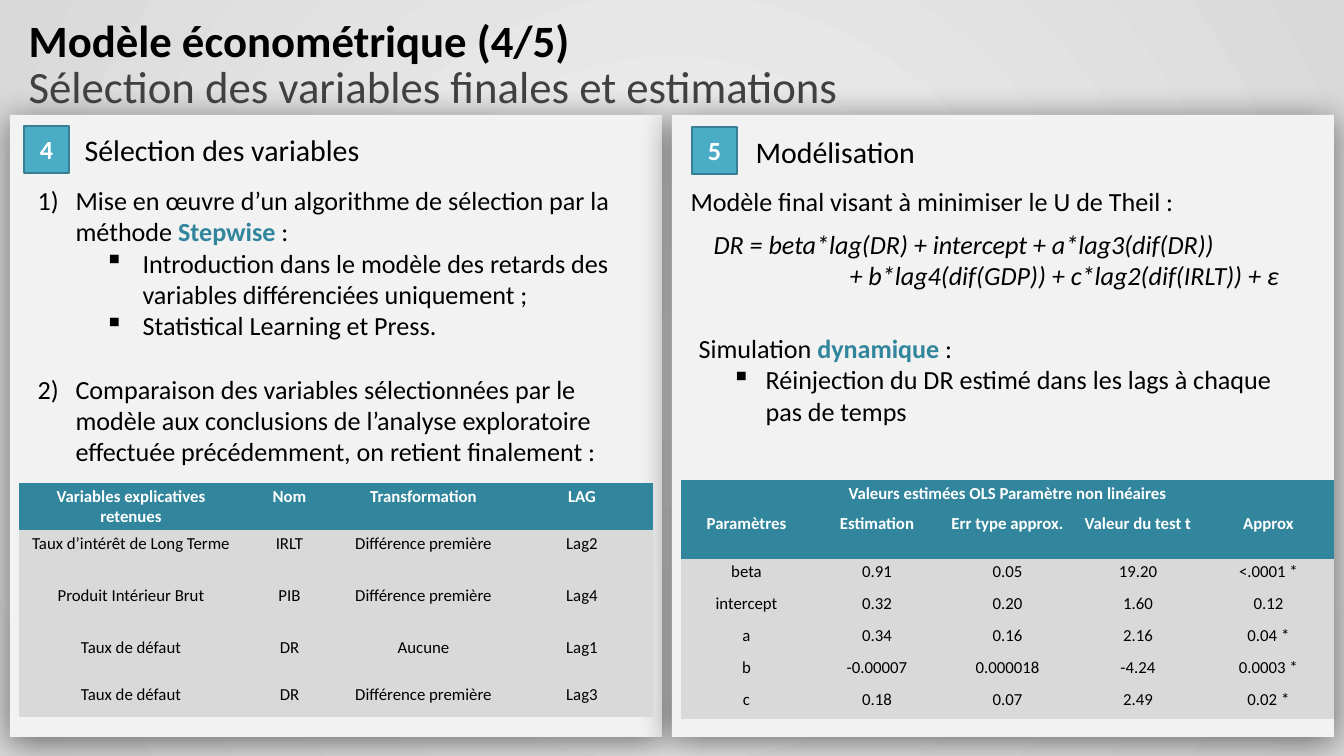
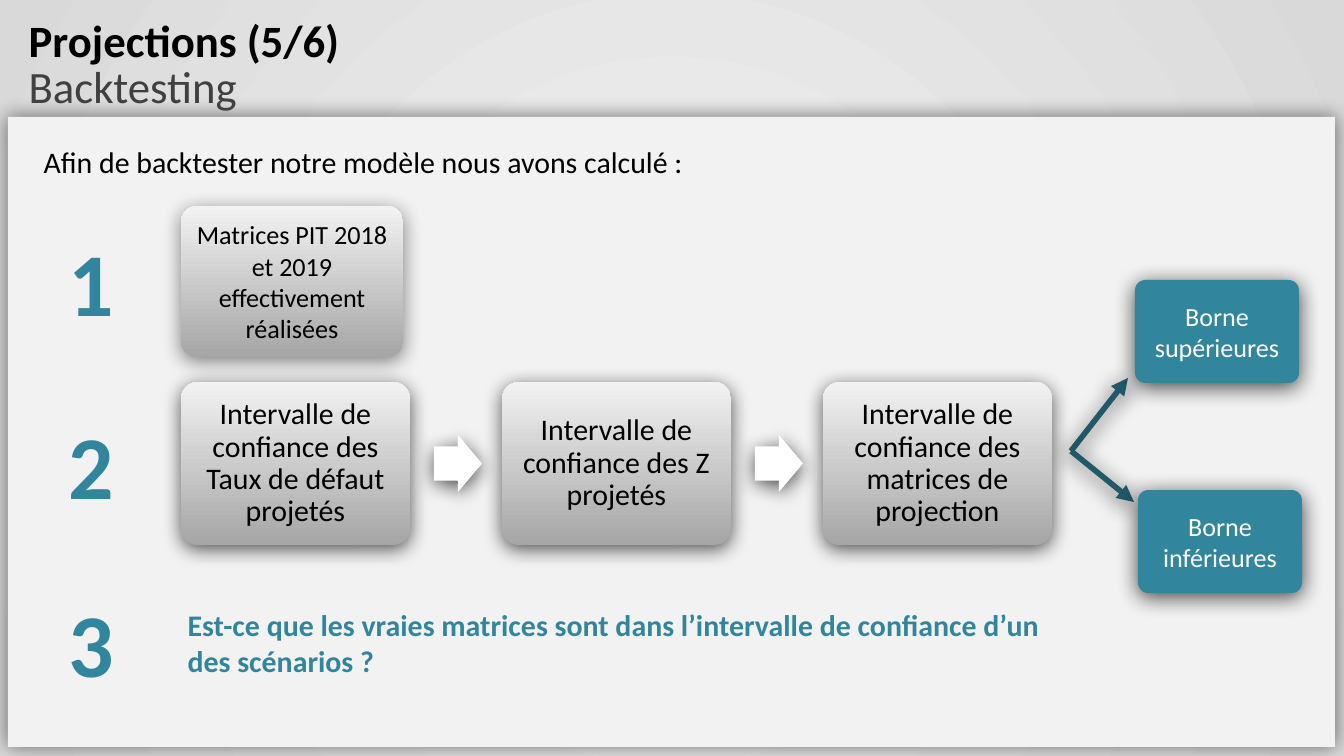
import dataclasses

import lxml.etree
import pptx
import pptx.dml.color
import pptx.enum.shapes
import pptx.enum.text
import pptx.oxml.ns
import pptx.util

SHAPES = pptx.enum.shapes.MSO_SHAPE
ALIGN = pptx.enum.text.PP_ALIGN
ANCHOR = pptx.enum.text.MSO_ANCHOR
qn = pptx.oxml.ns.qn

EMU_PER_PX = 914400 / 67.2
NO_TABLE_STYLE = "{2D5ABB26-0587-4C30-8999-92F81FD0307C}"


@dataclasses.dataclass(frozen=True)
class Theme:
    font: str = "Calibri"
    black: str = "000000"
    white: str = "FFFFFF"
    subtitle: str = "404040"
    accent: str = "31859C"
    badge: str = "4BACC6"
    badge_line: str = "377F92"
    arrow: str = "215968"
    light: str = "F2F2F2"
    grey: str = "D9D9D9"
    mid_grey: str = "A6A6A6"
    title_size: int = 48
    heading_size: int = 32
    body_size: int = 28
    table_size: int = 18
    step_size: int = 96


THEME = Theme()


@dataclasses.dataclass(frozen=True)
class Para:
    """A paragraph; parts between ** are emphasised."""
    text: str
    level: int = 0
    indent: int = 0
    hanging: int = 0
    bullet: str = ""
    gap_before: int = 0


def px(value):
    return pptx.util.Emu(round(value * EMU_PER_PX))


def rgb(color):
    return pptx.dml.color.RGBColor.from_string(color)


def add_xml(parent, tag, **attributes):
    return lxml.etree.SubElement(parent, qn(tag), {k: str(v) for k, v in attributes.items()})


# Fills and effects
def fill_gradient(fill, start, end):
    fill.gradient()
    for stop, color in zip(fill.gradient_stops, (start, end)):
        stop.color.rgb = rgb(color)


def add_shadow(shape, opacity, blur, distance):
    effects = shape._element.spPr.get_or_add_effectLst()
    shadow = add_xml(effects, "a:outerShdw", blurRad=blur * 12700, dist=distance * 12700,
                     dir=5400000, algn="ctr", rotWithShape=0)
    color = add_xml(shadow, "a:srgbClr", val=THEME.black)
    add_xml(color, "a:alpha", val=opacity * 1000)


# Text
def write(paragraph, text, size, color=THEME.black, bold=False, italic=False):
    pieces = text.split("**")
    paragraph.text = pieces[0]
    for piece in pieces[1:]:
        paragraph.add_run().text = piece
    for i, run in enumerate(paragraph.runs):
        emphasised = i % 2 == 1
        run.font.name = THEME.font
        run.font.size = pptx.util.Pt(size)
        run.font.bold = bold or emphasised
        run.font.italic = italic
        run.font.color.rgb = rgb(THEME.accent if emphasised else color)


def set_layout(paragraph, para):
    properties = paragraph._p.get_or_add_pPr()
    paragraph.level = para.level
    properties.set("marL", str(px(para.indent)))
    properties.set("indent", str(-px(para.hanging)))
    if para.bullet == "number":
        add_xml(properties, "a:buFontTx")
        add_xml(properties, "a:buAutoNum", type="arabicParenR")
    elif para.bullet:
        add_xml(properties, "a:buFontTx")
        add_xml(properties, "a:buChar", char=para.bullet)
    if para.gap_before:
        paragraph.space_before = pptx.util.Pt(para.gap_before)


def add_text(slide, box, paras, size, **style):
    frame = slide.shapes.add_textbox(*map(px, box)).text_frame
    frame.word_wrap = True
    if isinstance(paras, str):
        paras = [Para(paras)]
    for i, para in enumerate(paras):
        paragraph = frame.add_paragraph() if i else frame.paragraphs[0]
        set_layout(paragraph, para)
        write(paragraph, para.text, size, **style)


# Shapes
def add_block(slide, kind, box, fill, shadow=None, corner=None):
    block = slide.shapes.add_shape(kind, *map(px, box))
    block.shadow.inherit = False
    block.line.fill.background()
    if isinstance(fill, tuple):
        fill_gradient(block.fill, *fill)
        block.fill.gradient_angle = 90
    else:
        block.fill.solid()
        block.fill.fore_color.rgb = rgb(fill)
    if corner is not None:
        block.adjustments[0] = corner
    if shadow:
        add_shadow(block, *shadow)
    return block


def label(block, text, size, color=THEME.black, bold=False):
    frame = block.text_frame
    frame.word_wrap = True
    frame.vertical_anchor = ANCHOR.MIDDLE
    paragraph = frame.paragraphs[0]
    paragraph.alignment = ALIGN.CENTER
    write(paragraph, text, size, color, bold)
    return paragraph


def add_panel(slide, box, blur, distance):
    add_block(slide, SHAPES.RECTANGLE, box, THEME.light, (53, blur, distance))


def add_badge(slide, left, top, number):
    badge = add_block(slide, SHAPES.RECTANGLE, (left, top, 45, 47), THEME.badge)
    badge.line.color.rgb = rgb(THEME.badge_line)
    badge.line.width = pptx.util.Pt(2)
    label(badge, number, THEME.body_size, THEME.white, bold=True)


def add_card(slide, box, text, size, shadow, corner):
    card = add_block(slide, SHAPES.ROUNDED_RECTANGLE, box,
                     (THEME.mid_grey, THEME.light), shadow, corner)
    return card, label(card, text, size)


def add_bound(slide, left, top, text):
    bound = add_block(slide, SHAPES.ROUNDED_RECTANGLE, (left, top, 164, 103),
                      THEME.accent, (72, 24, 4), 0.1)
    label(bound, text, THEME.body_size, THEME.white)


def add_arrow(slide, start, end):
    arrow = slide.shapes.add_connector(pptx.enum.shapes.MSO_CONNECTOR.STRAIGHT,
                                       *map(px, start + end))
    arrow.line.color.rgb = rgb(THEME.arrow)
    arrow.line.width = pptx.util.Pt(6)
    add_xml(arrow.line._get_or_add_ln(), "a:tailEnd", type="triangle")
    add_shadow(arrow, 72, 24, 4)


# Tables
def add_grid(slide, left, top, widths, heights, rows, header_rows=1, inset=None):
    frame = slide.shapes.add_table(len(rows), len(widths), px(left), px(top),
                                   px(sum(widths)), px(sum(heights)))
    table = frame.table
    table.first_row = table.horz_banding = False
    table._tbl.tblPr.find(qn("a:tableStyleId")).text = NO_TABLE_STYLE
    for column, width in zip(table.columns, widths):
        column.width = px(width)
    for r, (row, height) in enumerate(zip(rows, heights)):
        table.rows[r].height = px(height)
        is_header = r < header_rows
        for c in range(len(widths)):
            cell = table.cell(r, c)
            cell.fill.solid()
            cell.fill.fore_color.rgb = rgb(THEME.accent if is_header else THEME.grey)
            if inset is not None:
                cell.margin_left = cell.margin_right = px(inset)
                cell.margin_top = cell.margin_bottom = px(inset)
            if c < len(row):
                paragraph = cell.text_frame.paragraphs[0]
                paragraph.alignment = ALIGN.CENTER
                write(paragraph, row[c], THEME.table_size,
                      THEME.white if is_header else THEME.black, is_header)
        if len(row) == 1:
            table.cell(r, 0).merge(table.cell(r, len(widths) - 1))


# Shared slide frame
def add_slide(deck):
    slide = deck.slides.add_slide(deck.slide_layouts[6])
    fill_gradient(slide.background.fill, THEME.light, THEME.grey)
    gradient = next(slide._element.iter(qn("a:gradFill")))
    gradient.remove(gradient.find(qn("a:lin")))
    radial = add_xml(gradient, "a:path", path="circle")
    add_xml(radial, "a:fillToRect", l=50000, t=50000, r=50000, b=50000)
    return slide


def add_titles(slide, title, subtitle, subtitle_width):
    add_text(slide, (22, 9, 607, 61), title, THEME.title_size, bold=True)
    add_text(slide, (22, 55, subtitle_width, 61), subtitle, THEME.title_size,
             color=THEME.subtitle)


def build_model_slide(deck):
    slide = add_slide(deck)
    add_panel(slide, (10, 115, 652, 622), 37, 5)
    add_panel(slide, (672, 115, 662, 622), 37, 5)
    add_titles(slide, "Modèle économétrique (4/5)",
               "Sélection des variables finales et estimations", 1177)

    # Variable selection
    add_badge(slide, 24, 126, "4")
    add_text(slide, (78, 128, 398, 43), "Sélection des variables", THEME.heading_size)
    step = dict(indent=38, hanging=38, bullet="number")
    detail = dict(level=2, indent=105, hanging=38, bullet="▪")
    add_text(slide, (31, 181, 631, 355), [
        Para("Mise en œuvre d’un algorithme de sélection par la méthode **Stepwise** :", **step),
        Para("Introduction dans le modèle des retards des variables différenciées "
             "uniquement ;", **detail),
        Para("Statistical Learning et Press.", **detail),
        Para("Comparaison des variables sélectionnées par le modèle aux conclusions de "
             "l’analyse exploratoire effectuée précédemment, on retient finalement :",
             gap_before=34, **step),
    ], THEME.body_size)
    add_grid(slide, 19, 483, [224, 93, 175, 142], [47, 52, 52, 47, 36], [
        ["Variables explicatives retenues", "Nom", "Transformation", "LAG"],
        ["Taux d’intérêt de Long Terme", "IRLT", "Différence première", "Lag2"],
        ["Produit Intérieur Brut", "PIB", "Différence première", "Lag4"],
        ["Taux de défaut", "DR", "Aucune", "Lag1"],
        ["Taux de défaut", "DR", "Différence première", "Lag3"],
    ])

    # Modelling
    add_badge(slide, 692, 127, "5")
    add_text(slide, (749, 130, 398, 43), "Modélisation", THEME.heading_size)
    add_text(slide, (684, 182, 610, 70), "Modèle final visant à minimiser le U de Theil :",
             THEME.body_size)
    add_text(slide, (621, 225, 692, 70), [
        Para("DR = beta*lag(DR) + intercept + a*lag3(dif(DR))", indent=86),
        Para("+ b*lag4(dif(GDP)) + c*lag2(dif(IRLT)) + ε", indent=222),
    ], THEME.body_size, italic=True)
    add_text(slide, (692, 329, 621, 134), [
        Para("Simulation **dynamique** :"),
        Para("Réinjection du DR estimé dans les lags à chaque pas de temps",
             level=1, indent=67, hanging=34, bullet="▪"),
    ], THEME.body_size)
    add_grid(slide, 681, 480, [131, 130, 131, 130, 131], [31, 48] + [32] * 5, [
        ["Valeurs estimées OLS Paramètre non linéaires"],
        ["Paramètres", "Estimation", "Err type approx.", "Valeur du test t",
         "Approx\vPr > |t|"],
        ["beta", "0.91", "0.05", "19.20", "<.0001 *"],
        ["intercept", "0.32", "0.20", "1.60", "0.12"],
        ["a", "0.34", "0.16", "2.16", "0.04 *"],
        ["b", "-0.00007", "0.000018", "-4.24", "0.0003 *"],
        ["c", "0.18", "0.07", "2.49", "0.02 *"],
    ], header_rows=2, inset=3)


def build_backtesting_slide(deck):
    slide = add_slide(deck)
    add_panel(slide, (8, 117, 1327, 630), 21, 0)
    add_titles(slide, "Projections (5/6)", "Backtesting", 386)
    add_text(slide, (37, 140, 676, 43),
             "Afin de backtester notre modèle nous avons calculé :", THEME.heading_size)

    # Step numbers
    for number, top in (("1", 224), ("2", 407), ("3", 585)):
        add_text(slide, (62, top, 100, 116), number, THEME.step_size,
                 color=THEME.accent, bold=True)

    # Step 1: realised matrices
    add_card(slide, (181, 206, 222, 151), "Matrices PIT 2018 et 2019 effectivement réalisées",
             THEME.body_size, (48, 22, 4), 0.1)

    # Step 2: chain of confidence intervals
    intervals = ["Taux de défaut projetés", "Z projetés", "matrices de projection"]
    for i, subject in enumerate(intervals):
        shift = 321 * i
        card, paragraph = add_card(slide, (181 + shift, 382, 229, 163),
                                   f"Intervalle de confiance des {subject}",
                                   THEME.heading_size, (65, 21, 4), 0.1)
        paragraph.line_spacing = 0.9
        card.text_frame.margin_left = card.text_frame.margin_right = px(9)
        if i < len(intervals) - 1:
            link = add_block(slide, SHAPES.RIGHT_ARROW, (434 + shift, 435, 48, 57),
                             THEME.white, (65, 21, 4), 0.6)
            link.adjustments[1] = 0.5

    # Bounds of the interval
    for tip in ((1128, 378), (1134, 502)):
        add_arrow(slide, (1071, 451), tip)
    add_bound(slide, 1135, 280, "Borne supérieures")
    add_bound(slide, 1138, 490, "Borne inférieures")

    # Step 3: question
    add_text(slide, (181, 603, 873, 116),
             "Est-ce que les vraies matrices sont dans l’intervalle de confiance d’un "
             "des scénarios ?", THEME.heading_size, color=THEME.accent, bold=True)


def main():
    deck = pptx.Presentation()
    deck.slide_width, deck.slide_height = px(1344), px(756)
    build_model_slide(deck)
    build_backtesting_slide(deck)
    deck.save("out.pptx")


if __name__ == "__main__":
    main()
